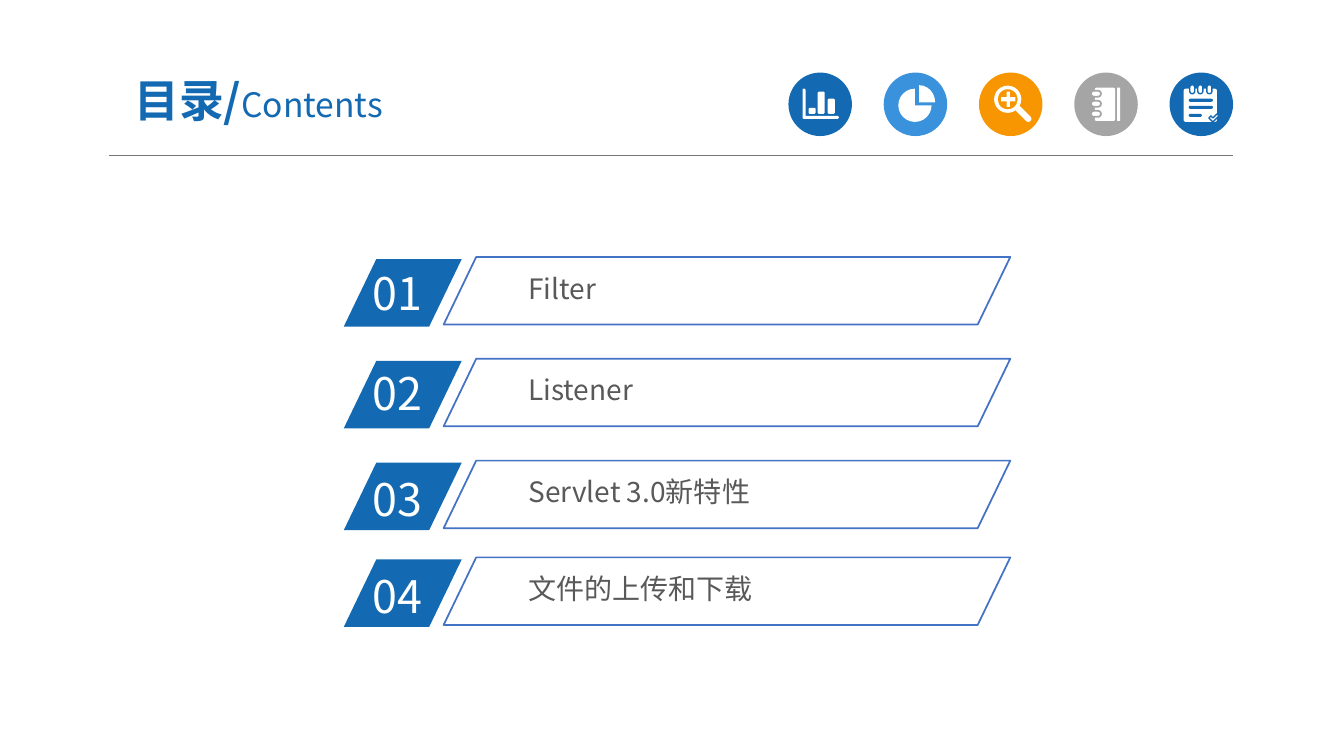
from lxml import etree
from pptx import Presentation
from pptx.dml.color import RGBColor
from pptx.enum.shapes import MSO_CONNECTOR, MSO_SHAPE
from pptx.enum.text import MSO_ANCHOR, MSO_AUTO_SIZE, PP_ALIGN
from pptx.oxml.ns import qn
from pptx.util import Inches, Pt

BLUE = RGBColor(0x13, 0x69, 0xB2)
SKY = RGBColor(0x39, 0x92, 0xDB)
ORANGE = RGBColor(0xF7, 0x96, 0x00)
SILVER = RGBColor(0xA5, 0xA5, 0xA5)
OUTLINE = RGBColor(0x44, 0x72, 0xC4)
RULE = RGBColor(0x76, 0x76, 0x76)
TEXT = RGBColor(0x59, 0x59, 0x59)
WHITE = RGBColor(0xFF, 0xFF, 0xFF)
FONT = "Noto Sans CJK SC"

OVAL = MSO_SHAPE.OVAL
RECT = MSO_SHAPE.RECTANGLE
ROUND = MSO_SHAPE.ROUNDED_RECTANGLE
SLANT = MSO_SHAPE.PARALLELOGRAM
PIE = MSO_SHAPE.PIE
WEDGE = MSO_SHAPE.PIE_WEDGE
DONUT = MSO_SHAPE.DONUT
CROSS = MSO_SHAPE.CROSS
STRAIGHT = MSO_CONNECTOR.STRAIGHT
MIDDLE = MSO_ANCHOR.MIDDLE
CENTER = PP_ALIGN.CENTER
GROW = MSO_AUTO_SIZE.SHAPE_TO_FIT_TEXT
FIXED = MSO_AUTO_SIZE.NONE


class Deck:
    """Hold the presentation, its current slide and the shared style."""

    def __init__(self):
        self.prs = Presentation()
        self.prs.slide_width = Inches(13.33)
        self.prs.slide_height = Inches(7.5)
        self.s = self.prs.slides.add_slide(self.prs.slide_layouts[5])

    def style(self, r, size, color, bold=False):
        r.font.size = Pt(size)
        r.font.bold = bold
        r.font.name = FONT
        r.font.color.rgb = color
        etree.SubElement(r._r.get_or_add_rPr(), qn("a:ea")).set("typeface", FONT)

    def insets(self, tf, side, end):
        tf.margin_left = tf.margin_right = Inches(side)
        tf.margin_top = tf.margin_bottom = Inches(end)

    def title(self, x, y, w, h, main, sub):
        sp = self.s.shapes.title
        sp.left, sp.top, sp.width, sp.height = map(Inches, (x, y, w, h))
        tf = sp.text_frame
        tf.text = main
        tf.auto_size = FIXED
        tf.vertical_anchor = MIDDLE
        self.insets(tf, 0.13, 0.07)
        p = tf.paragraphs[0]
        p.alignment = CENTER
        p.space_before = Pt(0)
        self.style(p.runs[0], 32, BLUE, True)
        r = p.add_run()
        r.text = sub
        self.style(r, 24, BLUE)

    def text(self, x, y, w, h, text, size, color, side=0.1, end=0.05):
        tf = self.s.shapes.add_textbox(*map(Inches, (x, y, w, h))).text_frame
        tf.word_wrap = True
        tf.auto_size = GROW
        self.insets(tf, side, end)
        tf.text = text
        self.style(tf.paragraphs[0].runs[0], size, color)

    def paint(self, sp, fill, line, width):
        sp.shadow.inherit = False
        if fill is None:
            sp.fill.background()
        else:
            sp.fill.solid()
            sp.fill.fore_color.rgb = fill
        if line is None:
            sp.line.fill.background()
        else:
            sp.line.color.rgb = line
            sp.line.width = Pt(width)

    def shape(self, kind, x, y, w, h, fill=WHITE, line=None, width=1.25, adj=None, turn=0):
        sp = self.s.shapes.add_shape(kind, *map(Inches, (x, y, w, h)))
        if adj is not None:
            sp.adjustments[0] = adj
        sp.rotation = turn
        self.paint(sp, fill, line, width)

    def polygon(self, contours, fill=WHITE, line=None, width=1):
        fb = None
        for contour in contours:
            pts = [(Inches(x), Inches(y)) for x, y in contour]
            if fb is None:
                fb = self.s.shapes.build_freeform(*pts[0])
            else:
                fb.move_to(*pts[0])
            fb.add_line_segments(pts[1:], close=True)
        self.paint(fb.convert_to_shape(), fill, line, width)

    def line(self, x1, y1, x2, y2, color, width):
        c = self.s.shapes.add_connector(STRAIGHT, *map(Inches, (x1, y1, x2, y2)))
        c.line.color.rgb = color
        c.line.width = Pt(width)
        etree.SubElement(c._element.spPr, qn("a:effectLst"))

    def chart_icon(self):
        cut = 0.01
        axes = ((7.96, 0.89), (7.97, 0.88), (7.98, 0.88), (7.99, 0.89), (7.99, 1.15),
                (8.31, 1.15), (8.32, 1.16), (8.32, 1.17), (8.31, 1.18), (7.97, 1.18),
                (7.96, 1.17))
        contours = [axes]
        for x, top in ((8.02, 1.07), (8.11, 0.91), (8.21, 0.98)):
            right, bottom = x + 0.07, 1.13
            contours.append(((x, top + cut), (x + cut, top), (right - cut, top),
                             (right, top + cut), (right, bottom - cut),
                             (right - cut, bottom), (x + cut, bottom), (x, bottom - cut)))
        self.polygon(contours)

    def pie_icon(self):
        self.shape(PIE, 8.91, 0.88, 0.33, 0.33)
        self.shape(WEDGE, 9.11, 0.85, 0.17, 0.16, turn=90)

    def magnifier_icon(self):
        self.shape(DONUT, 9.86, 0.85, 0.27, 0.27, adj=0.13)
        self.shape(CROSS, 9.93, 0.91, 0.14, 0.15, adj=0.39)
        self.shape(ROUND, 10.05, 1.1, 0.2, 0.06, adj=0.5, turn=45)

    def notebook_icon(self):
        self.shape(ROUND, 10.86, 0.87, 0.2, 0.33, adj=0.08)
        self.shape(RECT, 11.08, 0.87, 0.03, 0.33)
        for y in (0.93, 1.03, 1.13):
            self.shape(ROUND, 10.82, y - 0.03, 0.1, 0.06, line=SILVER, adj=0.5)

    def checklist_icon(self):
        self.shape(ROUND, 11.74, 0.88, 0.33, 0.33, adj=0.06)
        for x in (11.81, 11.89, 11.98):
            self.shape(ROUND, x - 0.01, 0.84, 0.05, 0.09, line=BLUE, width=1, adj=0.5)
        for y, w in ((0.98, 0.24), (1.05, 0.24), (1.13, 0.13)):
            self.shape(ROUND, 11.79, y, w, 0.03, fill=BLUE, adj=0.5)
        tick = ((11.99, 1.17), (12.01, 1.15), (12.03, 1.17),
                (12.07, 1.13), (12.09, 1.15), (12.03, 1.21))
        self.polygon([tick], line=BLUE)

    def entry(self, top, number, number_top, label):
        self.shape(SLANT, 3.41, top + 0.02, 1.17, 0.67, fill=BLUE, adj=0.482)
        self.text(3.6, number_top, 1.12, 0.64, number, 32, WHITE)
        self.text(5.17, top + 0.1, 4.12, 0.41, label, 20, TEXT, 0.07, 0.04)
        self.shape(SLANT, 4.4, top, 5.62, 0.67, fill=None, line=OUTLINE, adj=0.482)


def main():
    deck = Deck()
    deck.line(1.08, 1.54, 12.23, 1.54, RULE, 0.5)
    icons = ((BLUE, deck.chart_icon), (SKY, deck.pie_icon), (ORANGE, deck.magnifier_icon),
             (SILVER, deck.notebook_icon), (BLUE, deck.checklist_icon))
    for i, (color, draw_icon) in enumerate(icons):
        deck.shape(OVAL, 7.82 + i * 0.945, 0.72, 0.63, 0.63, fill=color)
        draw_icon()
    deck.title(0.92, 0.63, 3.29, 0.72, "目录/", "Contents")
    entries = ((2.55, 2.59, "Filter"), (3.56, 3.58, "Listener"),
               (4.57, 4.63, "Servlet 3.0新特性"), (5.53, 5.59, "文件的上传和下载"))
    for n, (top, number_top, label) in enumerate(entries, 1):
        deck.entry(top, f"{n:02}", number_top, label)
    deck.prs.save("out.pptx")


if __name__ == "__main__":
    main()
